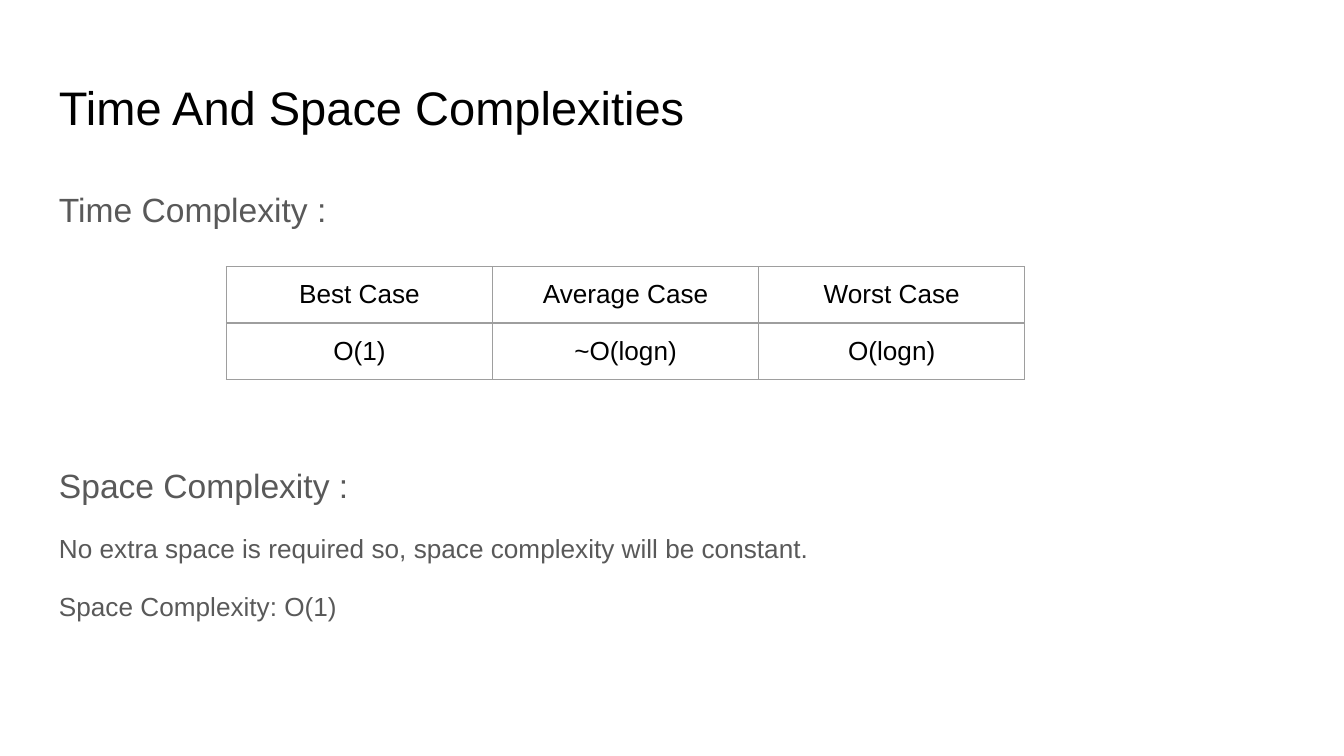
from dataclasses import dataclass

from lxml import etree
from pptx import Presentation
from pptx.dml.color import RGBColor
from pptx.enum.text import MSO_ANCHOR, PP_ALIGN
from pptx.oxml.ns import qn
from pptx.util import Pt

TOP, MIDDLE = MSO_ANCHOR.TOP, MSO_ANCHOR.MIDDLE
CENTER = PP_ALIGN.CENTER
PX = 4572  # EMU; 200 px to the inch
INSET = 20
CELL_BOTTOM_INSET = 17  # lets a line of text fit the row height


@dataclass(frozen=True)
class Theme:
    font: str = "Arial"
    background: str = "FFFFFF"
    ink: str = "000000"
    muted: str = "595959"
    border: str = "9E9E9E"
    border_width: float = 0.75
    title_size: float = 25.2
    heading_size: int = 18
    text_size: int = 14
    line_spacing: float = 1.15
    paragraph_gap: int = 12


THEME = Theme()
TABLE_GAP = 123  # points kept free for the table between the two sections

COMPLEXITY_NOTES = [  # text, size, space before
    ("Time Complexity :", THEME.heading_size, 0),
    ("Space Complexity :", THEME.heading_size, TABLE_GAP),
    ("No extra space is required so, space complexity will be constant.",
     THEME.text_size, THEME.paragraph_gap),
    ("Space Complexity: O(1)", THEME.text_size, THEME.paragraph_gap),
]
TIME_CASES = [
    ["Best Case", "Average Case", "Worst Case"],
    ["O(1)", "~O(logn)", "O(logn)"],
]


def px(*lengths):
    return [length * PX for length in lengths]


def set_insets(holder, bottom=INSET):
    """Set the margins of a text frame or a table cell."""
    holder.margin_left = holder.margin_right = holder.margin_top = INSET * PX
    holder.margin_bottom = bottom * PX


def write(paragraph, text, size, color):
    paragraph.text = text
    for run in paragraph.runs:
        run.font.name = THEME.font
        run.font.size = Pt(size)
        run.font.color.rgb = RGBColor.from_string(color)


def add_text_frame(slide, left, top, width, height, anchor):
    frame = slide.shapes.add_textbox(*px(left, top, width, height)).text_frame
    frame.word_wrap = True
    frame.vertical_anchor = anchor
    set_insets(frame)
    return frame


def add_title(slide, text):
    frame = add_text_frame(slide, 68, 97, 1864, 125, MIDDLE)
    write(frame.paragraphs[0], text, THEME.title_size, THEME.ink)


def add_notes(slide, notes):
    frame = add_text_frame(slide, 68, 252, 1864, 748, TOP)
    for index, (text, size, gap) in enumerate(notes):
        paragraph = frame.add_paragraph() if index else frame.paragraphs[0]
        write(paragraph, text, size, THEME.muted)
        paragraph.line_spacing = THEME.line_spacing
        paragraph.space_before = Pt(gap)


def set_borders(cell):
    properties = cell._tc.get_or_add_tcPr()
    for index, side in enumerate(("lnL", "lnR", "lnT", "lnB")):
        line = etree.Element(qn(f"a:{side}"), w=str(Pt(THEME.border_width)))
        fill = etree.SubElement(line, qn("a:solidFill"))
        etree.SubElement(fill, qn("a:srgbClr"), val=THEME.border)
        properties.insert(index, line)


def add_case_table(slide, rows, left, top, column_width, row_height):
    row_count, column_count = len(rows), len(rows[0])
    area = px(left, top, column_width * column_count, row_height * row_count)
    table = slide.shapes.add_table(row_count, column_count, *area).table
    table.first_row = table.horz_banding = False
    for row, texts in enumerate(rows):
        for column, text in enumerate(texts):
            cell = table.cell(row, column)
            cell.fill.background()
            set_insets(cell, CELL_BOTTOM_INSET)
            set_borders(cell)
            paragraph = cell.text_frame.paragraphs[0]
            write(paragraph, text, THEME.text_size, THEME.ink)
            paragraph.alignment = CENTER


def main():
    presentation = Presentation()
    presentation.slide_width, presentation.slide_height = px(2000, 1125)
    slide = presentation.slides.add_slide(presentation.slide_layouts[6])
    background = slide.background.fill
    background.solid()
    background.fore_color.rgb = RGBColor.from_string(THEME.background)

    add_title(slide, "Time And Space Complexities")
    add_notes(slide, COMPLEXITY_NOTES)
    add_case_table(slide, TIME_CASES, 337, 397, 396, 83)
    presentation.save("out.pptx")


if __name__ == "__main__":
    main()
